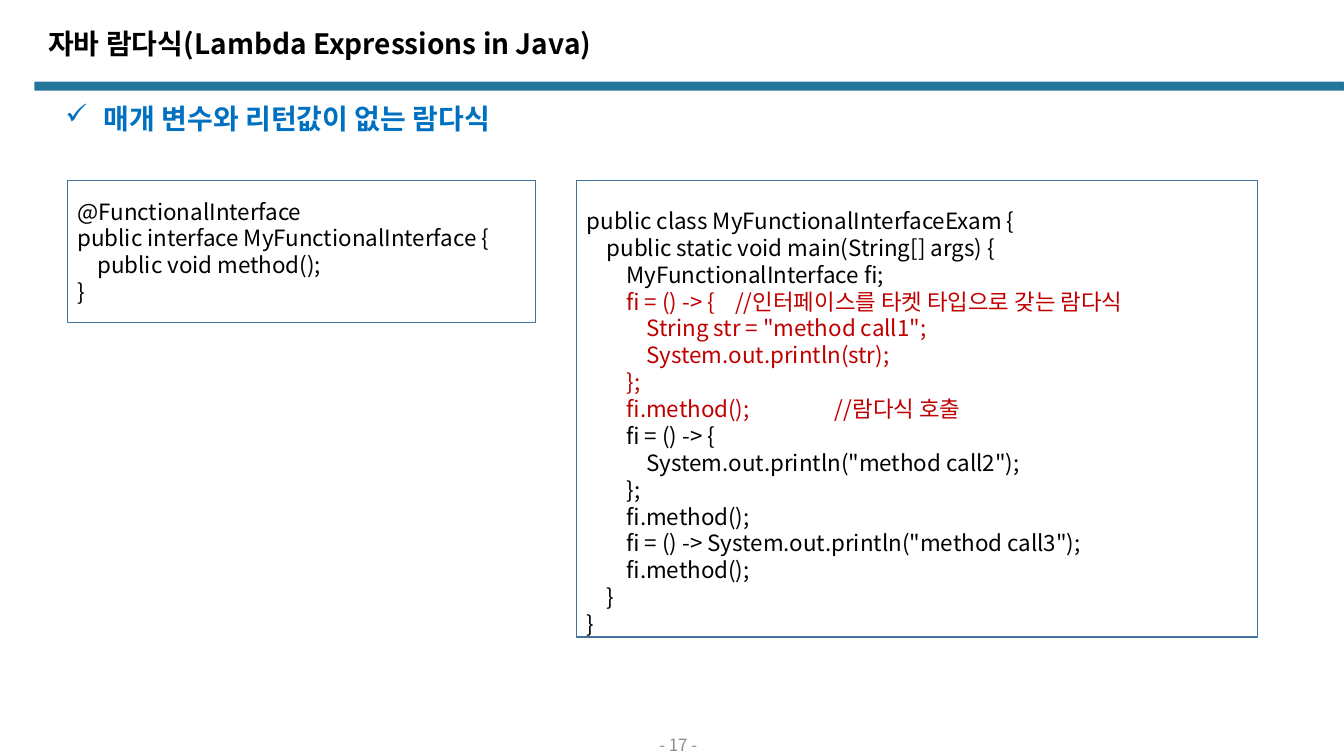
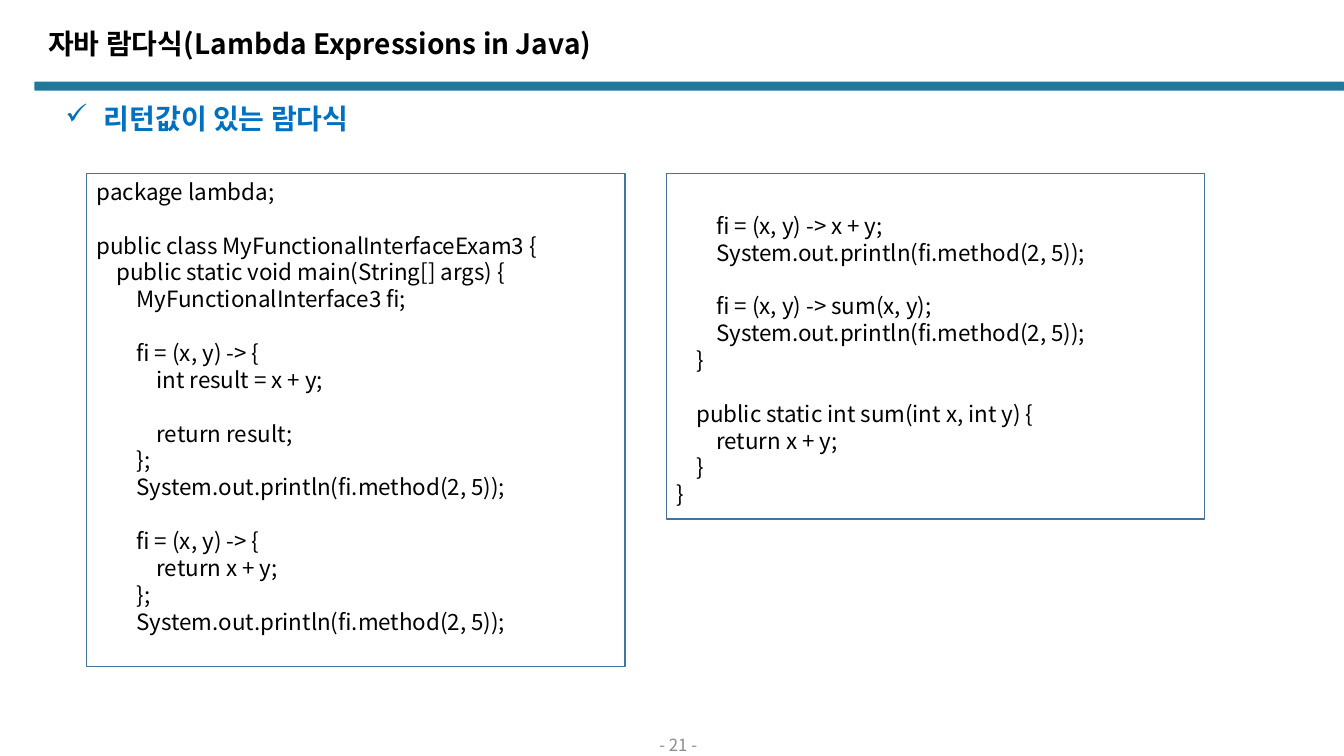
import pptx
import pptx.util
import pptx.dml.color
import pptx.enum.shapes
import pptx.enum.text
import pptx.oxml.ns
import lxml.etree

Inches, Pt = pptx.util.Inches, pptx.util.Pt
ANCHOR = pptx.enum.text.MSO_ANCHOR
ALIGN = pptx.enum.text.PP_ALIGN
SHAPE = pptx.enum.shapes.MSO_SHAPE

# Shared style
FONT = "Noto Sans CJK KR"
BLACK, WHITE, RED, GRAY = "000000", "FFFFFF", "C00000", "8C8C8C"
BAND, HEADING, BORDER = "22779B", "0070C0", "43739E"
TITLE = "자바 람다식(Lambda Expressions in Java)"
CODE_SIZE = 16
CODE_LINE = CODE_SIZE * 1.2 / 72  # line pitch in inches

# Slide contents
INTERFACE = """\
@FunctionalInterface
public interface MyFunctionalInterface {
    public void method();
}"""

NO_RETURN_EXAM = """
public class MyFunctionalInterfaceExam {
    public static void main(String[] args) {
        MyFunctionalInterface fi;
        fi = () -> {    //인터페이스를 타켓 타입으로 갖는 람다식
            String str = "method call1";
            System.out.println(str);
        };
        fi.method();                 //람다식 호출
        fi = () -> {
            System.out.println("method call2");
        };
        fi.method();
        fi = () -> System.out.println("method call3");
        fi.method();
    }
}"""

RETURN_EXAM_START = """\
package lambda;

public class MyFunctionalInterfaceExam3 {
    public static void main(String[] args) {
        MyFunctionalInterface3 fi;

        fi = (x, y) -> {
            int result = x + y;

            return result;
        };
        System.out.println(fi.method(2, 5));

        fi = (x, y) -> {
            return x + y;
        };
        System.out.println(fi.method(2, 5));
"""

RETURN_EXAM_END = """
        fi = (x, y) -> x + y;
        System.out.println(fi.method(2, 5));

        fi = (x, y) -> sum(x, y);
        System.out.println(fi.method(2, 5));
    }

    public static int sum(int x, int y) {
        return x + y;
    }
}"""

# Page number, heading, code boxes: (left, top, width, height), code, red lines
SLIDES = [
    (17, "매개 변수와 리턴값이 없는 람다식", [
        ((0.67, 1.79, 4.64, 1.41), INTERFACE, ()),
        ((5.72, 1.79, 6.75, 4.53), NO_RETURN_EXAM, range(4, 9)),
    ]),
    (21, "리턴값이 있는 람다식", [
        ((0.86, 1.72, 5.34, 4.89), RETURN_EXAM_START, ()),
        ((6.61, 1.72, 5.34, 3.43), RETURN_EXAM_END, ()),
    ]),
]


def rgb(color):
    return pptx.dml.color.RGBColor.from_string(color)


def format_paragraph(paragraph, size, color, line_spacing, bold=False, font=FONT):
    paragraph.line_spacing = Pt(line_spacing)
    for run in paragraph.runs:
        run.font.size = Pt(size)
        run.font.bold = bold
        run.font.name = font
        run.font.color.rgb = rgb(color)
        east_asian = lxml.etree.SubElement(run.font._element, pptx.oxml.ns.qn("a:ea"))
        east_asian.set("typeface", FONT)


presentation = pptx.Presentation()
presentation.slide_width = Inches(13.33)
presentation.slide_height = Inches(7.5)

for page, heading, code_boxes in SLIDES:
    slide = presentation.slides.add_slide(presentation.slide_layouts[6])

    # Band under the title
    band = slide.shapes.add_shape(SHAPE.ROUNDED_RECTANGLE, Inches(0.34), Inches(0.81),
                                  Inches(12.99), Inches(0.09))
    band.adjustments[0] = 0.13
    band.shadow.inherit = False
    band.fill.solid()
    band.fill.fore_color.rgb = rgb(BAND)
    band.line.fill.background()

    # Title, page number and heading
    labels = [
        ((0.38, 0.25, 12, 0.47), TITLE, 20, BLACK, 21.6, True, FONT),
        ((5.19, 7.27, 3.11, 0.23), f"- {page} - ", 12, GRAY, 14.4, False, FONT),
        ((0.55, 0.96, 11.93, 0.44), heading, 20, HEADING, 24, True, "Arial"),
    ]
    for box, text, size, color, line_spacing, bold, font in labels:
        label = slide.shapes.add_textbox(*map(Inches, box))
        label.text_frame.word_wrap = True
        label.text_frame.text = text
        paragraph = label.text_frame.paragraphs[0]
        format_paragraph(paragraph, size, color, line_spacing, bold, font)
        if text == heading:
            properties = paragraph._p.get_or_add_pPr()
            properties.set("marL", str(Inches(0.38)))
            properties.set("indent", str(-Inches(0.38)))
            bullet = lxml.etree.SubElement(properties, pptx.oxml.ns.qn("a:buChar"))
            bullet.set("char", "✓")
        elif text != TITLE:
            label.text_frame.vertical_anchor = ANCHOR.MIDDLE
            paragraph.alignment = ALIGN.CENTER

    # Code boxes
    for box, code, red_lines in code_boxes:
        shape = slide.shapes.add_shape(SHAPE.RECTANGLE, *map(Inches, box))
        shape.shadow.inherit = False
        shape.fill.solid()
        shape.fill.fore_color.rgb = rgb(WHITE)
        shape.line.color.rgb = rgb(BORDER)
        shape.line.width = Pt(1)

        # Centre the whole listing; an empty first line moves the text down
        lines = code.split("\n")
        leading = 0 if lines[0] else 1
        text_frame = shape.text_frame
        text_frame.word_wrap = True
        text_frame.vertical_anchor = ANCHOR.TOP
        text_frame.margin_top = Inches((box[3] - len(lines) * CODE_LINE) / 2 + leading * CODE_LINE)
        text_frame.margin_bottom = 0

        # Empty code lines become space before the next line
        for index, line in enumerate(lines):
            if not line:
                continue
            first = index == leading
            paragraph = text_frame.paragraphs[0] if first else text_frame.add_paragraph()
            paragraph.text = line
            paragraph.alignment = ALIGN.LEFT
            if not first and not lines[index - 1]:
                paragraph.space_before = Inches(CODE_LINE)
            format_paragraph(paragraph, CODE_SIZE, RED if index in red_lines else BLACK,
                             CODE_LINE * 72)

presentation.save("out.pptx")
